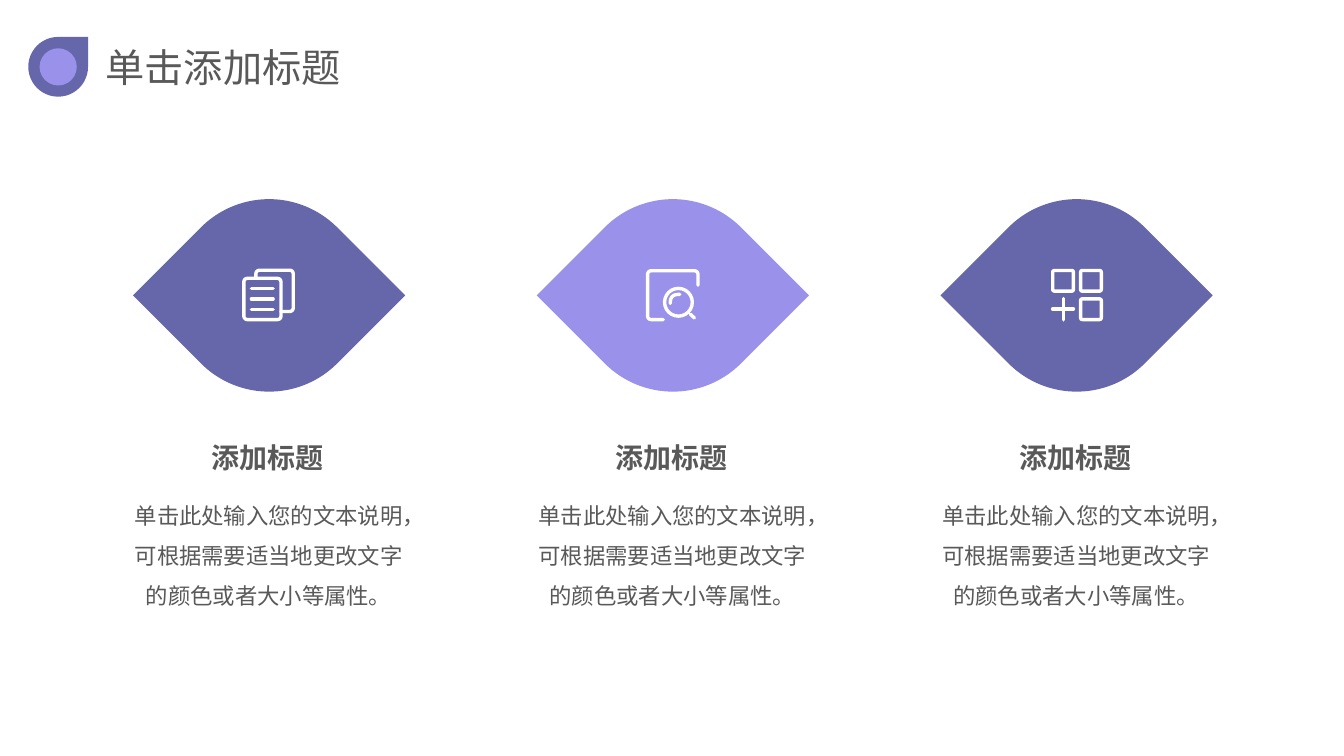
import dataclasses
import typing

import lxml.etree
import pptx
import pptx.dml.color
import pptx.enum.shapes
import pptx.enum.text
import pptx.oxml.ns
import pptx.util

Pt = pptx.util.Pt
Kind = pptx.enum.shapes.MSO_SHAPE
Align = pptx.enum.text.PP_ALIGN
Fit = pptx.enum.text.MSO_AUTO_SIZE
qn = pptx.oxml.ns.qn
Spot = tuple[float, float]

FONT = "Noto Sans CJK SC"
DARK, LIGHT, GREY, WHITE = "6667AB", "9A91EB", "595959", "FFFFFF"
HEAD = "添加标题"
BODY = "单击此处输入您的文本说明，可根据需要适当地更改文字的颜色或者大小等属性。"
START, PITCH, MID = 192.2, 288.4, 211
LEAF = 137.5
STROKE = 2.4


@dataclasses.dataclass
class Box:
    left: float
    top: float
    width: float
    height: float
    bend: float = 2.5


@dataclasses.dataclass
class Ring:
    x: float
    y: float
    radius: float


@dataclasses.dataclass
class Bar:
    start: Spot
    end: Spot


@dataclasses.dataclass
class Bent:
    runs: list[list[Spot]]
    bend: float = 3


Mark = Box | Ring | Bar | Bent


@dataclasses.dataclass
class Column:
    fill: str
    icon: list[Mark]


def square(x: float, y: float, size: float) -> list[Spot]:
    mid = (x + size / 2, y)
    return [mid, (x + size, y), (x + size, y + size), (x, y + size), (x, y), mid]


COLUMNS = [
    Column(DARK, [
        Bent([[(-9.4, -12.6), (-9.4, -18), (17.3, -18), (17.3, 11.5), (8.6, 11.5)]]),
        Box(-18, -12.2, 26.6, 29.5),
        *[Bar((-12.6, y), (2.9, y)) for y in (-5, 2.5, 10)],
    ]),
    Column(LIGHT, [
        Bent([[(-6.8, 17.3), (-18, 17.3), (-18, -17.6), (18, -17.6), (18, -7.2)]]),
        Ring(4, 4.9, 9.9),
        Bent([[(-1.8, 5.8), (-1.8, -0.7), (5, -0.7)], [(12.6, 13.5), (15.5, 16.2)]], 6),
    ]),
    Column(DARK, [
        Bent([*[square(x, y, 14.8) for x, y in ((2.9, 2.5), (2.9, -17.8), (-17, -17.8))],
              [(-17.1, 9.7), (-2.2, 9.7)]], 1.5),
        Bar((-9.5, 2.2), (-9.5, 17.5)),
    ]),
]


def tint(code: str) -> pptx.dml.color.RGBColor:
    return pptx.dml.color.RGBColor.from_string(code)


def solid(shapes: typing.Any, kind: Kind, box: Box, code: str) -> typing.Any:
    shape = shapes.add_shape(kind, Pt(box.left), Pt(box.top), Pt(box.width), Pt(box.height))
    shape.shadow.inherit = False
    shape.fill.solid()
    shape.fill.fore_color.rgb = tint(code)
    shape.line.fill.background()
    return shape


def stroke(shape: typing.Any) -> None:
    shape.line.color.rgb = tint(WHITE)
    shape.line.width = Pt(STROKE)
    line = shape.element.spPr.find(qn("a:ln"))
    line.set("cap", "rnd")
    lxml.etree.SubElement(line, qn("a:round"))


def curve(run: list[Spot], bend: float) -> list[Spot]:
    spots = [run[0]]
    for before, turn, after in zip(run, run[1:], run[2:]):
        ends = []
        for other in (before, after):
            span = abs(other[0] - turn[0]) + abs(other[1] - turn[1])
            share = min(1, bend / span)
            ends.append([t + (o - t) * share for t, o in zip(turn, other)])
        for step in range(9):
            t = step / 8
            x, y = ((1 - t) ** 2 * a + 2 * t * (1 - t) * b + t * t * c
                    for a, b, c in zip(ends[0], turn, ends[1]))
            spots.append((x, y))
    return spots + [run[-1]]


def draw(shapes: typing.Any, mark: Mark, x: float, y: float) -> None:
    if isinstance(mark, Bar):
        shape = shapes.add_connector(
            pptx.enum.shapes.MSO_CONNECTOR.STRAIGHT,
            Pt(x + mark.start[0]), Pt(y + mark.start[1]),
            Pt(x + mark.end[0]), Pt(y + mark.end[1]))
        stroke(shape)
        lxml.etree.SubElement(shape.element.spPr, qn("a:effectLst"))
        return
    if isinstance(mark, Bent):
        runs = [[(Pt(x + a), Pt(y + b)) for a, b in curve(run, mark.bend)]
                for run in mark.runs]
        path = shapes.build_freeform(*runs[0][0])
        path.add_line_segments(runs[0][1:], close=False)
        for run in runs[1:]:
            path.move_to(*run[0])
            path.add_line_segments(run[1:], close=False)
        shape = path.convert_to_shape()
        shape.shadow.inherit = False
    elif isinstance(mark, Ring):
        size = 2 * mark.radius
        box = Box(x + mark.x - mark.radius, y + mark.y - mark.radius, size, size)
        shape = solid(shapes, Kind.OVAL, box, WHITE)
    else:
        box = Box(x + mark.left, y + mark.top, mark.width, mark.height)
        shape = solid(shapes, Kind.ROUNDED_RECTANGLE, box, WHITE)
        shape.adjustments[0] = mark.bend / min(mark.width, mark.height)
    shape.fill.background()
    stroke(shape)


def write(shape: typing.Any, box: Box, text: str, size: float, bold: bool = False,
          align: Align = Align.LEFT, space: float = 1, wrap: bool = True) -> None:
    shape.left, shape.top = Pt(box.left), Pt(box.top)
    shape.width, shape.height = Pt(box.width), Pt(box.height)
    frame = shape.text_frame
    frame.text = text
    frame.word_wrap = wrap
    frame.auto_size = Fit.SHAPE_TO_FIT_TEXT
    frame.vertical_anchor = pptx.enum.text.MSO_ANCHOR.TOP
    line = frame.paragraphs[0]
    line.alignment = align
    line.line_spacing = space
    font = line.runs[0].font
    font.name, font.size, font.bold = FONT, Pt(size), bold
    font.color.rgb = tint(GREY)
    east = lxml.etree.SubElement(line.runs[0].font._element, qn("a:ea"))
    east.set("typeface", FONT)


def main() -> None:
    deck = pptx.Presentation()
    deck.slide_width, deck.slide_height = Pt(960), Pt(540)
    slide = deck.slides.add_slide(deck.slide_layouts[5])
    shapes = slide.shapes
    solid(shapes, Kind.TEAR, Box(20.2, 26.4, 42.7, 42.7), DARK)
    solid(shapes, Kind.OVAL, Box(28.3, 34.5, 26.6, 26.6), LIGHT)
    write(shapes.title, Box(68.3, 27.2, 200.9, 41.2), "单击添加标题", 28)
    for place, column in enumerate(COLUMNS):
        x = START + place * PITCH
        leaf = solid(shapes, Kind.ROUND_2_DIAG_RECTANGLE,
                     Box(x - LEAF / 2, MID - LEAF / 2, LEAF, LEAF), column.fill)
        leaf.adjustments[0], leaf.adjustments[1] = 0.5, 0
        leaf.rotation = 45
        for mark in column.icon:
            draw(shapes, mark, x, MID)
        write(shapes.add_textbox(0, 0, 0, 0), Box(x - 104.3, 345.3, 208.1, 91.4),
              BODY, 16, align=Align.CENTER, space=1.5)
        write(shapes.add_textbox(0, 0, 0, 0), Box(x - 48.2, 311, 95, 31.7),
              HEAD, 20, bold=True, wrap=False)
    deck.save("out.pptx")


if __name__ == "__main__":
    main()
